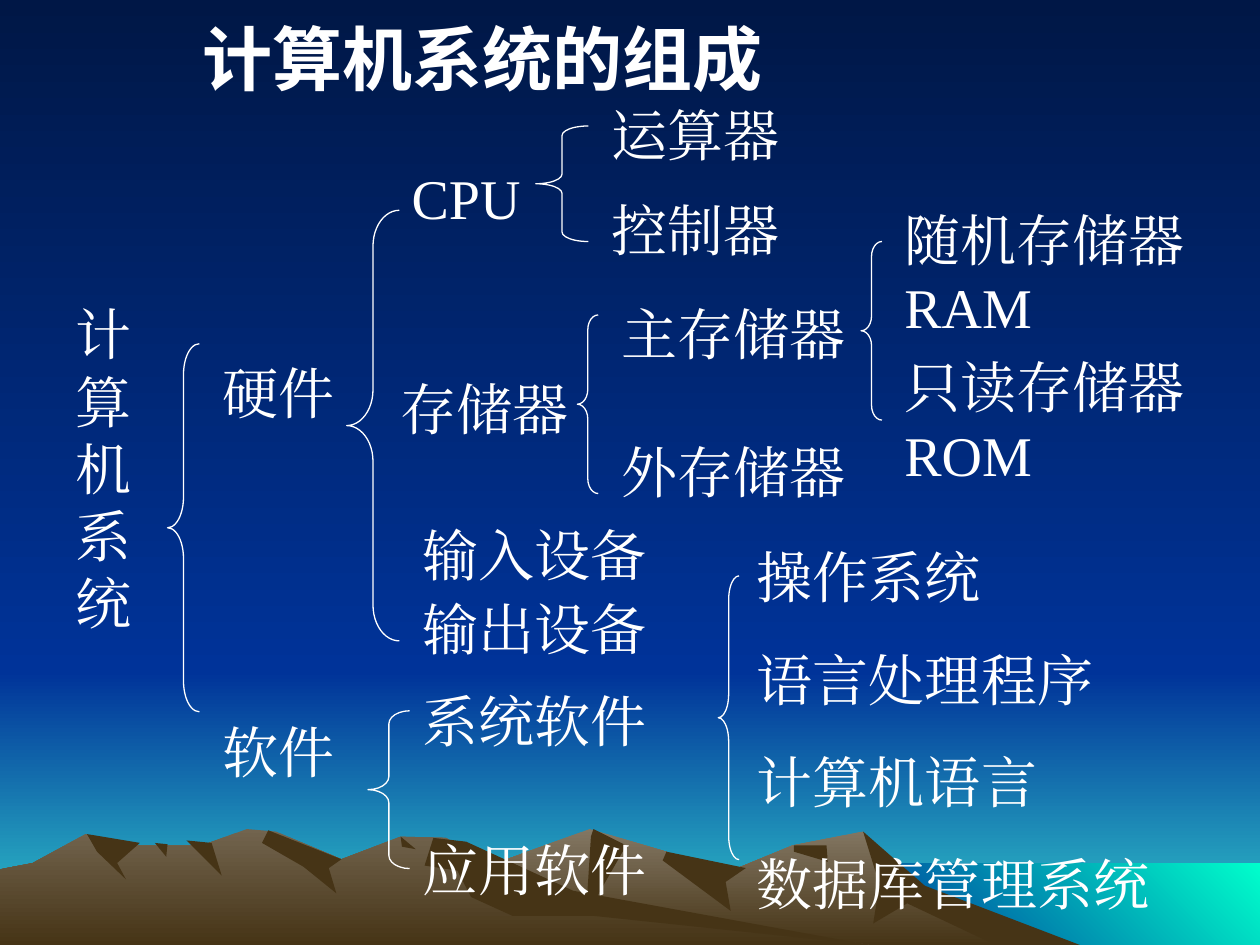
"""Draw the tree of computer system parts over a mountain scene."""
from dataclasses import dataclass
from typing import Any, NamedTuple

from lxml import etree
from pptx import Presentation
from pptx import util as u
from pptx.dml.color import RGBColor
from pptx.enum import shapes, text
from pptx.oxml.ns import qn


@dataclass(frozen=True)
class Theme:
    ink: str = "FFFFFF"
    night: str = "001746"
    blue: str = "003399"
    teal: str = "33CCCC"
    mint: str = "00FFCC"
    rock: str = "463416"
    sand: str = "837763"
    clay: str = "72644E"
    serif: str = "Times New Roman"
    sans: str = "Noto Sans CJK SC"
    head: float = 40
    body: float = 32
    gap: float = 20
    line: float = 0.75
    wide: float = 25.4
    high: float = 19.05
    dot: float = 0.0254


class Box(NamedTuple):
    left: float
    top: float
    wide: float
    high: float = 1.63


class Plane(NamedTuple):
    box: Box
    tint: tuple[str, ...]
    turn: float = 270


class Ridge(NamedTuple):
    tint: tuple[str, ...]
    dots: list[tuple[int, int]]


class Column(NamedTuple):
    left: float
    wide: float
    high: float
    rows: dict[str, float]


T = Theme()
EDGE = 13.54
ROW = 1.63
PAIR = 2.97

SKY = [
    Plane(Box(0, EDGE, T.wide, T.high - EDGE), (T.blue, T.teal)),
    Plane(Box(0, 0, T.wide, EDGE), (T.night, T.blue)),
    Plane(Box(17.35, 17.4, 8.05, 1.65), (T.mint, T.blue), 225),
]

RIDGES = [
    Ridge((T.sand, T.rock), [
        (258, 750), (327, 709), (394, 685), (468, 658), (529, 676), (566, 697),
        (629, 671), (685, 660), (723, 698), (820, 750)]),
    Ridge((T.rock,), [
        (685, 660), (734, 703), (857, 750), (790, 750), (720, 717), (693, 733), (698, 702)]),
    Ridge((T.rock,), [(471, 658), (497, 671), (465, 727), (469, 664)]),
    Ridge((T.rock,), [(529, 676), (592, 689), (576, 700), (580, 723), (526, 683)]),
    Ridge((T.rock,), [(630, 671), (656, 671), (657, 684), (630, 676)]),
    Ridge((T.clay, T.rock), [
        (0, 750), (0, 690), (26, 685), (68, 662), (94, 671), (160, 671), (196, 658),
        (219, 660), (271, 682), (318, 664), (354, 665), (432, 712), (690, 750)]),
    Ridge((T.rock,), [
        (213, 659), (271, 682), (261, 689), (267, 709), (241, 688), (208, 669)]),
    Ridge((T.rock,), [
        (344, 665), (370, 668), (455, 707), (690, 750), (472, 727), (407, 727),
        (374, 712), (363, 691), (337, 687)]),
    Ridge((T.rock,), [(318, 664), (330, 674), (319, 672)]),
    Ridge((T.rock,), [(148, 667), (168, 669), (176, 695)]),
    Ridge((T.rock,), [(123, 669), (133, 670), (132, 680)]),
    Ridge((T.rock,), [(69, 662), (111, 669), (93, 685), (100, 698), (77, 676)]),
]

BRACES = [
    Box(3.38, 6.93, 0.64, 7.42),
    Box(6.99, 4.24, 1.06, 8.68),
    Box(7.42, 14.33, 0.84, 3.18),
    Box(10.8, 2.54, 1.06, 2.33),
    Box(11.64, 6.35, 0.42, 3.6),
    Box(17.36, 4.87, 0.42, 3.6),
    Box(14.48, 11.61, 0.42, 5.72),
]

COLUMNS = [
    Column(1.27, 2.74, 7.04, {"计算机系统": 5.92}),
    Column(4.23, 4, ROW, {"硬件": 7.11, "软件": 14.33}),
    Column(8.05, 4.45, ROW, {"CPU": 3.18}),
    Column(7.82, 5.72, ROW, {"存储器": 7.42}),
    Column(8.26, 5.5, ROW, {
        "输入设备": 10.36, "输出设备": 11.86, "系统软件": 13.72, "应用软件": 16.71}),
    Column(12.07, 4.65, ROW, {"运算器": 1.91, "控制器": 3.81}),
    Column(12.27, 5.5, ROW, {"主存储器": 5.92, "外存储器": 8.69}),
    Column(17.98, 7, PAIR, {"随机存储器RAM": 4.01, "只读存储器ROM": 6.99}),
]
TITLE = Box(3.84, 0.43, 16.26, 1.47)
SOFT = Box(15.01, 10.82, 8.69, 7.8)
PARTS = ["操作系统", "语言处理程序", "计算机语言", "数据库管理系统"]


def place(box: Box) -> list[u.Length]:
    return [u.Cm(side) for side in box]


def paint(fill: Any, tint: tuple[str, ...], turn: float = 270) -> None:
    if len(tint) == 1:
        fill.solid()
        fill.fore_color.rgb = RGBColor.from_string(tint[0])
        return
    fill.gradient()
    fill.gradient_angle = turn
    for stop, tone in zip(fill.gradient_stops, tint):
        stop.color.rgb = RGBColor.from_string(tone)


def finish(form: Any, tint: tuple[str, ...], turn: float = 270) -> None:
    form.shadow.inherit = False
    form.line.fill.background()
    paint(form.fill, tint, turn)


def add_plane(page: Any, plane: Plane) -> None:
    form = page.shapes.add_shape(shapes.MSO_SHAPE.RECTANGLE, *place(plane.box))
    finish(form, plane.tint, plane.turn)


def add_ridge(page: Any, ridge: Ridge) -> None:
    first, *rest = ridge.dots
    pen = page.shapes.build_freeform(*first, scale=u.Cm(T.dot))
    pen.add_line_segments(rest, close=True)
    finish(pen.convert_to_shape(), ridge.tint)


def add_brace(page: Any, box: Box) -> None:
    brace = page.shapes.add_shape(shapes.MSO_SHAPE.LEFT_BRACE, *place(box))
    brace.adjustments[0] = box.high / box.wide / 12
    brace.shadow.inherit = False
    brace.fill.background()
    brace.line.color.rgb = RGBColor.from_string(T.ink)
    brace.line.width = u.Pt(T.line)


def add_label(page: Any, box: Box, lines: list[str], size: float = T.body,
              face: str = T.serif, bold: bool = False) -> None:
    frame = page.shapes.add_textbox(*place(box)).text_frame
    frame.word_wrap = True
    frame.vertical_anchor = text.MSO_ANCHOR.MIDDLE if bold else text.MSO_ANCHOR.TOP
    for rank, line in enumerate(lines):
        para = frame.add_paragraph() if rank else frame.paragraphs[0]
        if rank:
            para.space_before = u.Pt(T.gap)
        run = para.add_run()
        run.text = line
        run.font.size, run.font.bold, run.font.name = u.Pt(size), bold, face
        run.font.color.rgb = RGBColor.from_string(T.ink)
        etree.SubElement(run._r.get_or_add_rPr(), qn("a:ea"), typeface=face)


def main() -> None:
    deck = Presentation()
    deck.slide_width, deck.slide_height = u.Cm(T.wide), u.Cm(T.high)
    page = deck.slides.add_slide(deck.slide_layouts[6])
    paint(page.background.fill, (T.night, T.blue))
    for plane in SKY:
        add_plane(page, plane)
    for ridge in RIDGES:
        add_ridge(page, ridge)
    for box in BRACES:
        add_brace(page, box)
    add_label(page, TITLE, ["计算机系统的组成"], T.head, T.sans, bold=True)
    for col in COLUMNS:
        for name, top in col.rows.items():
            add_label(page, Box(col.left, top, col.wide, col.high), [name])
    add_label(page, SOFT, PARTS)
    deck.save("out.pptx")


if __name__ == "__main__":
    main()
